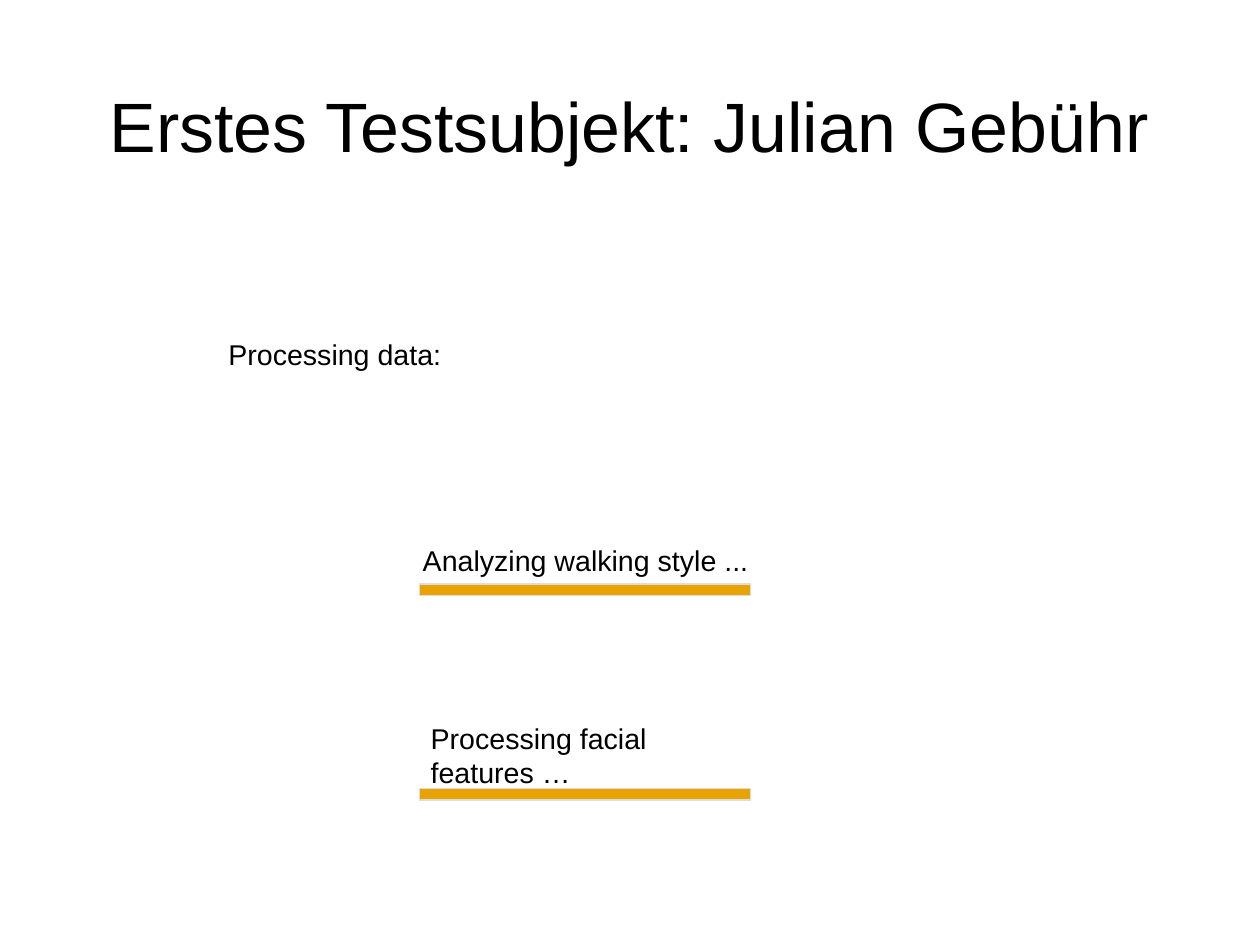
"""Build a slide that shows a test subject and two analysis steps."""
from dataclasses import dataclass

import pptx
import pptx.dml.color
import pptx.enum.shapes
import pptx.enum.text
import pptx.slide
import pptx.text.text
import pptx.util

Inches = pptx.util.Inches
BLACK = pptx.dml.color.RGBColor(0x00, 0x00, 0x00)
AMBER = pptx.dml.color.RGBColor(0xE8, 0xA2, 0x02)
LIGHT_GREY = pptx.dml.color.RGBColor(0xDD, 0xDD, 0xDD)
FONT_NAME = "Arial"
CENTIMETRES_PER_INCH = 2.54
BAR_LEFT, BAR_WIDTH, BAR_HEIGHT = 3.67, 2.9, 0.1


@dataclass(frozen=True)
class Label:
    text: str
    left: float
    top: float
    width: float
    height: float
    wrap: bool = True


LABELS = (
    Label("Processing data:", 1.9, 2.9, 3.5, 0.38),
    Label("Analyzing walking style ...", 3.6, 4.7, 3.05, 0.38, wrap=False),
    Label("Processing facial features …", BAR_LEFT, 6.26, BAR_WIDTH, 0.94),
)
BAR_TOPS = (5.11, 6.9)


def write(frame: pptx.text.text.TextFrame, text: str, size: int) -> None:
    span = frame.paragraphs[0].add_run()
    span.text = text
    span.font.name = FONT_NAME
    span.font.size = pptx.util.Pt(size)
    span.font.color.rgb = BLACK


def add_title(page: pptx.slide.Slide, text: str) -> None:
    title = page.shapes.title
    title.left, title.top = Inches(0.55), Inches(0.4)
    title.width, title.height = Inches(9.92), Inches(1.38)
    frame = title.text_frame
    frame.margin_left = frame.margin_right = 0
    frame.margin_top = frame.margin_bottom = 0
    frame.word_wrap = True
    frame.vertical_anchor = pptx.enum.text.MSO_ANCHOR.MIDDLE
    frame.paragraphs[0].alignment = pptx.enum.text.PP_ALIGN.CENTER
    write(frame, text, 44)


def add_label(page: pptx.slide.Slide, label: Label) -> None:
    box = page.shapes.add_textbox(
        Inches(label.left), Inches(label.top), Inches(label.width), Inches(label.height)
    )
    box.text_frame.word_wrap = label.wrap
    box.text_frame.auto_size = pptx.enum.text.MSO_AUTO_SIZE.SHAPE_TO_FIT_TEXT
    write(box.text_frame, label.text, 18)


def add_bar(page: pptx.slide.Slide, top: float) -> None:
    bar = page.shapes.add_shape(
        pptx.enum.shapes.MSO_SHAPE.RECTANGLE,
        Inches(BAR_LEFT), Inches(top), Inches(BAR_WIDTH), Inches(BAR_HEIGHT),
    )
    bar.shadow.inherit = False
    bar.fill.solid()
    bar.fill.fore_color.rgb = AMBER
    bar.line.color.rgb = LIGHT_GREY
    bar.line.width = 0


def main() -> None:
    deck = pptx.Presentation()
    deck.slide_width = Inches(28 / CENTIMETRES_PER_INCH)
    deck.slide_height = Inches(21 / CENTIMETRES_PER_INCH)
    page = deck.slides.add_slide(deck.slide_layouts.get_by_name("Title Only"))
    add_title(page, "Erstes Testsubjekt: Julian Gebühr")
    for label in LABELS:
        add_label(page, label)
    for top in BAR_TOPS:
        add_bar(page, top)
    deck.save("out.pptx")


if __name__ == "__main__":
    main()
